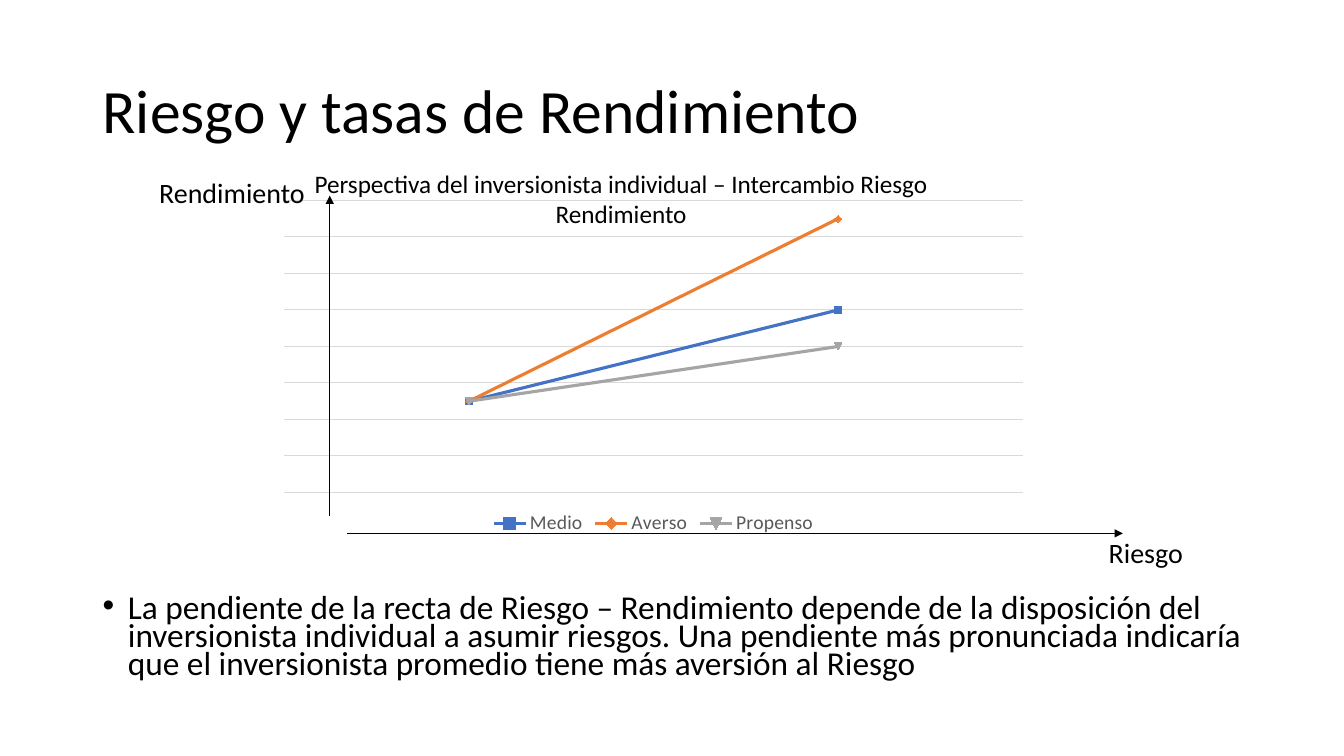
from lxml import etree
from pptx import Presentation
from pptx.chart.data import CategoryChartData
from pptx.dml.color import RGBColor
from pptx.enum.chart import XL_CHART_TYPE, XL_LEGEND_POSITION
from pptx.enum.shapes import MSO_CONNECTOR
from pptx.enum.text import MSO_ANCHOR, MSO_AUTO_SIZE, PP_ALIGN
from pptx.oxml import parse_xml
from pptx.oxml.ns import nsdecls, qn
from pptx.util import Cm, Pt

LINE = XL_CHART_TYPE.LINE
BOTTOM = XL_LEGEND_POSITION.BOTTOM
STRAIGHT = MSO_CONNECTOR.STRAIGHT
TOP, MIDDLE, LOW = MSO_ANCHOR.TOP, MSO_ANCHOR.MIDDLE, MSO_ANCHOR.BOTTOM
FIXED = MSO_AUTO_SIZE.NONE
LEFT, CENTER = PP_ALIGN.LEFT, PP_ALIGN.CENTER

BLACK = RGBColor(0x00, 0x00, 0x00)
GREY = RGBColor(0x59, 0x59, 0x59)
GRID = RGBColor(0xD9, 0xD9, 0xD9)
BLUE = RGBColor(0x44, 0x72, 0xC4)
ORANGE = RGBColor(0xED, 0x7D, 0x31)
SILVER = RGBColor(0xA5, 0xA5, 0xA5)

FONT = "Calibri"


class Page:
    """Style and current slide."""

    def __init__(self, slide):
        self.slide = slide
        self.shapes = slide.shapes

    def style(self, font, size, color=BLACK):
        font.name, font.size = FONT, Pt(size)
        font.bold = False
        font.color.rgb = color

    def fill(self, shape, text, size, align, anchor):
        frame = shape.text_frame
        frame.text = text
        frame.auto_size = FIXED
        frame.word_wrap = True
        frame.vertical_anchor = anchor
        para = frame.paragraphs[0]
        para.alignment = align
        for run in para.runs:
            self.style(run.font, size)
        return para

    def place(self, shape, box):
        shape.left, shape.top, shape.width, shape.height = map(Cm, box)

    def title(self, text, box):
        shape = self.shapes.title
        self.place(shape, box)
        self.fill(shape, text, 44, LEFT, MIDDLE).line_spacing = 0.9

    def bullet(self, text, box):
        shape = self.slide.placeholders[1]
        self.place(shape, box)
        para = self.fill(shape, text, 23.8, LEFT, LOW)
        shape.text_frame.margin_bottom = 0
        para.line_spacing = 0.7
        para.space_before = Pt(0)
        props = para._p.get_or_add_pPr()
        props.set("marL", str(Cm(0.64)))
        props.set("indent", str(Cm(-0.64)))
        etree.SubElement(props, qn("a:buFont")).set("typeface", "Arial")
        etree.SubElement(props, qn("a:buChar")).set("char", "•")

    def label(self, text, box, size=20, align=LEFT, wrap=False):
        shape = self.shapes.add_textbox(*map(Cm, box))
        self.fill(shape, text, size, align, TOP)
        shape.text_frame.word_wrap = wrap

    def arrow(self, *ends):
        line = self.shapes.add_connector(STRAIGHT, *map(Cm, ends))
        line.line.color.rgb = BLACK
        line.line.width = Pt(0.5)
        tip = etree.SubElement(line.line._get_or_add_ln(), qn("a:tailEnd"))
        tip.set("type", "triangle")
        etree.SubElement(line._element.spPr, qn("a:effectLst"))

    def layout(self, x, y, w, h, inner=False):
        target = '<c:layoutTarget val="inner"/>' if inner else ""
        return parse_xml(
            f'<c:layout {nsdecls("c")}><c:manualLayout>{target}'
            '<c:xMode val="edge"/><c:yMode val="edge"/>'
            f'<c:x val="{x}"/><c:y val="{y}"/><c:w val="{w}"/><c:h val="{h}"/>'
            '</c:manualLayout></c:layout>')

    def chart(self, cats, lines, box):
        data = CategoryChartData()
        data.categories = cats
        for name, values, _ in lines:
            data.add_series(name, values)
        chart = self.shapes.add_chart(LINE, *map(Cm, box), data).chart
        chart.has_title = False
        self.style(chart.font, 10)

        # Axes and grid
        chart.category_axis.visible = False
        axis = chart.value_axis
        axis.visible = False
        axis.minimum_scale, axis.maximum_scale, axis.major_unit = 0, 16, 2
        axis.has_major_gridlines = True
        grid = axis.major_gridlines.format.line
        grid.color.rgb, grid.width = GRID, Pt(0.75)

        # Series
        plot = chart.plots[0]
        plot.vary_by_categories = False
        for series, (_, _, color) in zip(plot.series, lines):
            series.smooth = False
            series.marker.style = None
            series.format.line.color.rgb = color
            series.format.line.width = Pt(2.25)

        # Legend over the lower part of the plot
        chart.has_legend = True
        legend = chart.legend
        legend.position = BOTTOM
        legend.include_in_layout = False
        self.style(legend.font, 14, GREY)
        legend._element.find(qn("c:legendPos")).addnext(
            self.layout(0.36, 0.82, 0.36, 0.15))
        area = chart._chartSpace.chart.plotArea
        for old in area.findall(qn("c:layout")):
            area.remove(old)
        area.insert(0, self.layout(0.02, 0.02, 0.96, 0.845, inner=True))


def main():
    prs = Presentation()
    prs.slide_width, prs.slide_height = Cm(33.87), Cm(19.05)
    page = Page(prs.slides.add_slide(prs.slide_layouts[1]))

    # Title and conclusion
    page.title("Riesgo y tasas de Rendimiento", (2.33, 1.02, 29.21, 3.68))
    page.bullet(
        "La pendiente de la recta de Riesgo – Rendimiento depende de la "
        "disposición del inversionista individual a asumir riesgos. Una "
        "pendiente más pronunciada indicaría que el inversionista promedio "
        "tiene más aversión al Riesgo", (2.33, 5.08, 29.21, 12.09))

    # Risk and return chart
    page.chart(("1", "2"), (("Medio", (5, 10), BLUE),
                            ("Averso", (5, 15), ORANGE),
                            ("Propenso", (5, 8), SILVER)),
               (6.78, 4.88, 19.38, 8.71))

    # Axis arrows and labels
    page.arrow(8.31, 13, 8.31, 4.93)
    page.arrow(8.74, 13.44, 28.3, 13.44)
    page.label("Perspectiva del inversionista individual – Intercambio Riesgo "
               "Rendimiento", (6.78, 4.11, 17.75, 1.8), 18, CENTER, True)
    page.label("Riesgo", (27.69, 13.36, 2.41, 1.42))
    page.label("Rendimiento", (3.76, 4.29, 4.5, 1.42))

    prs.save("out.pptx")


if __name__ == "__main__":
    main()
